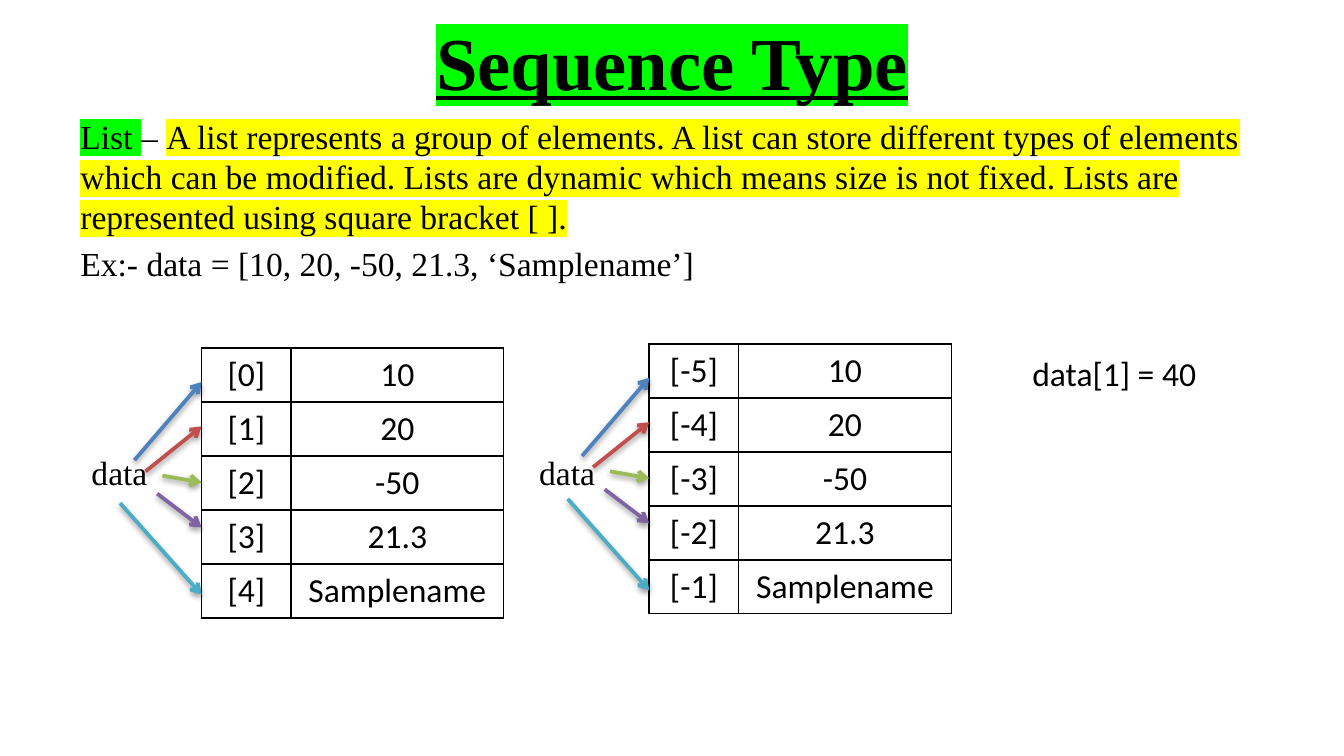
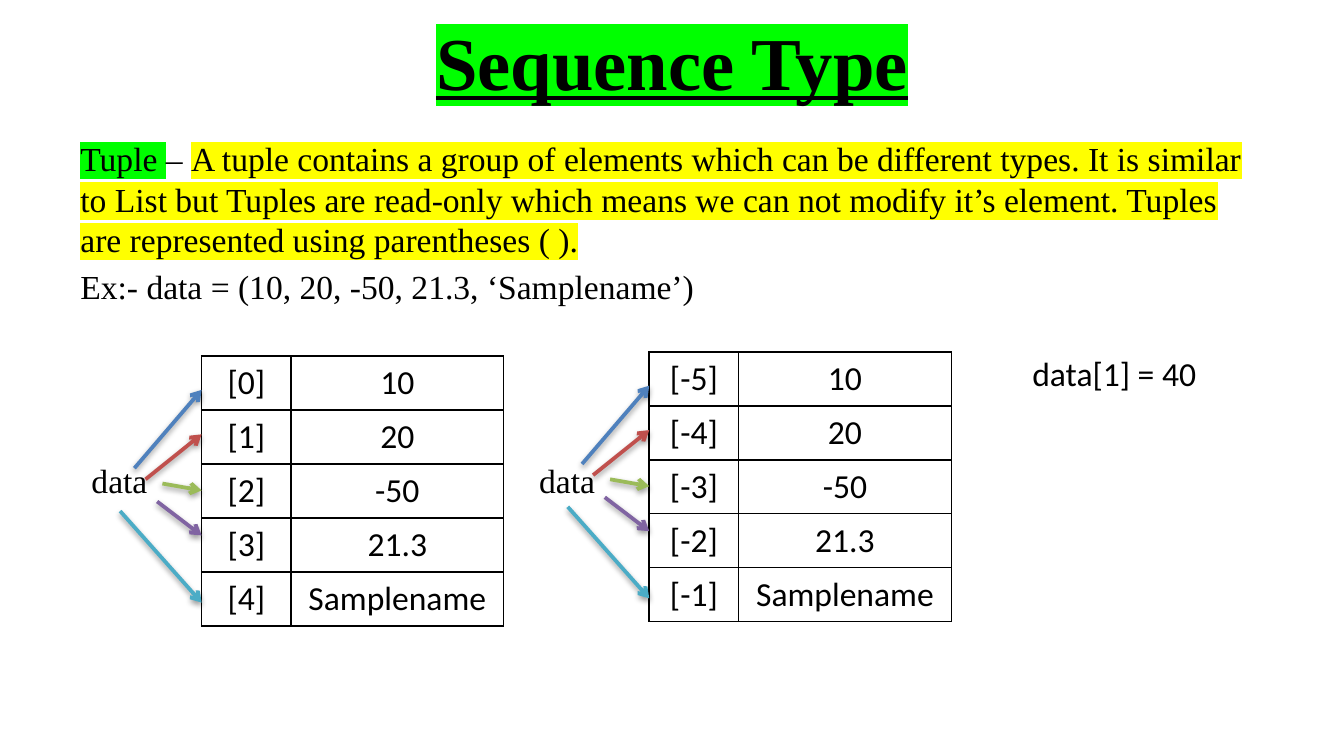
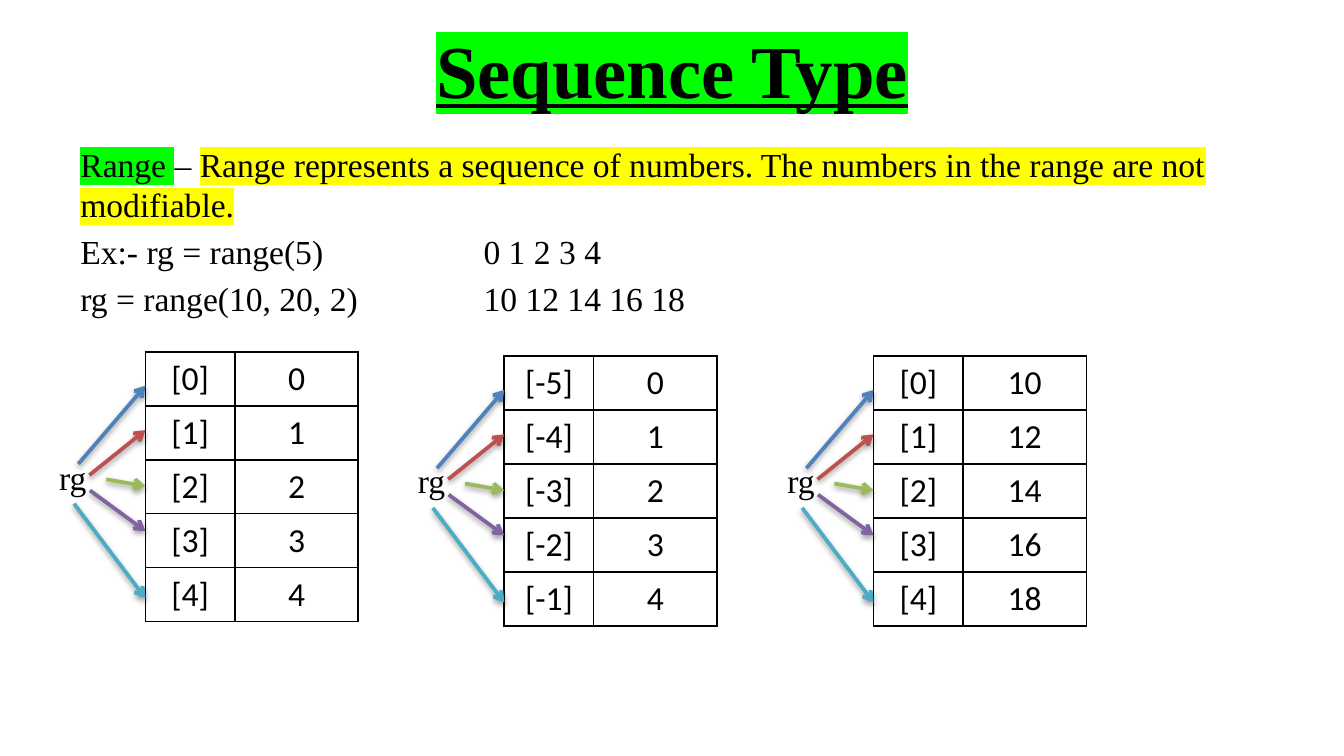
from dataclasses import dataclass
from itertools import product
from typing import Optional

from lxml.etree import SubElement
from pptx import Presentation
from pptx.dml.color import RGBColor
from pptx.enum.shapes import MSO_CONNECTOR as Line
from pptx.enum.text import MSO_ANCHOR as Anchor, MSO_AUTO_SIZE as Fit, PP_ALIGN as Align
from pptx.oxml import parse_xml
from pptx.oxml.ns import nsdecls, qn
from pptx.slide import Slide
from pptx.util import Cm, Pt

BLACK = RGBColor(0x00, 0x00, 0x00)
GREEN = RGBColor(0x00, 0xFF, 0x00)
YELLOW = RGBColor(0xFF, 0xFF, 0x00)
ARROWS = [
    RGBColor(0x4F, 0x81, 0xBD),
    RGBColor(0xC0, 0x50, 0x4D),
    RGBColor(0x9B, 0xBB, 0x59),
    RGBColor(0x80, 0x64, 0xA2),
    RGBColor(0x4B, 0xAC, 0xC6),
]
SERIF = "Times New Roman"
SANS = "Calibri"

ROW = 1.02
INDEX = 1.69
TAB = Cm(7.62)
TIPS = [0.64, 1.48, 2.54, 3.39, 4.66]
UP = ["[0]", "[1]", "[2]", "[3]", "[4]"]
DOWN = ["[-5]", "[-4]", "[-3]", "[-2]", "[-1]"]
MIXED = ["10", "20", "-50", "21.3", "Samplename"]
COUNT = ["0", "1", "2", "3", "4"]
EVENS = ["10", "12", "14", "16", "18"]


@dataclass(frozen=True)
class Kind:
    """A variable name, its place left of a table, its arrow tails, the value column."""
    name: str
    left: float
    width: float
    tails: list[tuple[float, float]]
    value: float


@dataclass(frozen=True)
class Fan:
    """A table at left, top with its variable name at the height label."""
    left: float
    top: float
    label: float
    keys: list[str]
    values: list[str]


@dataclass(frozen=True)
class Topic:
    term: str
    meaning: str
    samples: list[str]
    title: float
    body: float
    kind: Kind
    fans: list[Fan]
    note: Optional[str] = None


TAILS = [(-1.27, 2.12), (-1.06, 2.33), (-0.74, 2.41)]
DATA = Kind("data", -2.33, 1.57, TAILS + [(-0.84, 2.75), (-1.54, 2.93)], 4.02)
RG = Kind("rg", -1.88, 1.04, TAILS + [(-1.05, 2.62), (-1.35, 2.87)], 2.33)

TOPICS = [
    Topic(
        "List ",
        "A list represents a group of elements. A list can store different types of "
        "elements which can be modified. Lists are dynamic which means size is not "
        "fixed. Lists are represented using square bracket [ ].",
        ["Ex:- data = [10, 20, -50, 21.3, ‘Samplename’]"],
        -0.05, 2.06, DATA,
        [Fan(3.81, 6.58, 8.41, UP, MIXED), Fan(12.27, 6.5, 8.41, DOWN, MIXED)],
        "data[1] = 40",
    ),
    Topic(
        "Tuple ",
        "A tuple contains a group of elements which can be different types. It is "
        "similar to List but Tuples are read-only which means we can not modify it’s "
        "element. Tuples are represented using parentheses ( ).",
        ["Ex:- data = (10, 20, -50, 21.3, ‘Samplename’)"],
        -0.05, 2.49, DATA,
        [Fan(3.81, 6.73, 8.56, UP, MIXED), Fan(12.27, 6.65, 8.56, DOWN, MIXED)],
        "data[1] = 40",
    ),
    Topic(
        "Range ",
        "Range represents a sequence of numbers. The numbers in the range are not "
        "modifiable.",
        ["Ex:- rg = range(5)\t0 1 2 3 4", "rg = range(10, 20, 2)\t10 12 14 16 18"],
        0.1, 2.59, RG,
        [
            Fan(2.75, 6.65, 8.51, UP, COUNT),
            Fan(16.51, 6.73, 8.56, UP, EVENS),
            Fan(9.53, 6.73, 8.56, DOWN, COUNT),
        ],
    ),
]


def add_run(para, text: str, face: str = SERIF, size: int = 18,
            mark: Optional[RGBColor] = None):
    run = para.add_run()
    run.text = text
    font = run.font
    font.size = Pt(size)
    font.color.rgb = BLACK
    if mark is not None:
        glow = SubElement(font._element, qn("a:highlight"))
        SubElement(glow, qn("a:srgbClr"), val=str(mark))
    font.name = face
    return run


def add_title(slide: Slide, top: float) -> None:
    title = slide.shapes.title
    title.left, title.top, title.width, title.height = Cm(1.27), Cm(top), Cm(22.86), Cm(2.38)
    frame = title.text_frame
    frame.auto_size = Fit.NONE
    frame.vertical_anchor = Anchor.MIDDLE
    para = frame.paragraphs[0]
    para.alignment = Align.CENTER
    font = add_run(para, "Sequence Type", size=40, mark=GREEN).font
    font.bold = True
    font.underline = True


def add_body(slide: Slide, topic: Topic) -> None:
    box = slide.shapes.add_textbox(Cm(1.27), Cm(topic.body), Cm(22.86), Cm(3.81))
    frame = box.text_frame
    frame.word_wrap = True
    para = frame.paragraphs[0]
    add_run(para, topic.term, mark=GREEN)
    add_run(para, "– ")
    add_run(para, topic.meaning, mark=YELLOW)
    for text in topic.samples:
        para = frame.add_paragraph()
        if "\t" in text:
            stops = SubElement(para._p.get_or_add_pPr(), qn("a:tabLst"))
            SubElement(stops, qn("a:tab"), pos=str(TAB), algn="l")
        para.space_before = Pt(3.6)
        add_run(para, text)


def add_label(slide: Slide, text: str, left: float, top: float, width: float,
              face: str = SERIF) -> None:
    box = slide.shapes.add_textbox(Cm(left), Cm(top), Cm(width), Cm(ROW))
    frame = box.text_frame
    frame.word_wrap = False
    frame.auto_size = Fit.SHAPE_TO_FIT_TEXT
    add_run(frame.paragraphs[0], text, face)


def add_rim(cell) -> None:
    """Give a cell thin black borders and no fill."""
    props = cell._tc.get_or_add_tcPr()
    for side in ("lnL", "lnR", "lnT", "lnB"):
        edge = SubElement(props, qn(f"a:{side}"), w=str(Pt(1)))
        fill = SubElement(edge, qn("a:solidFill"))
        SubElement(fill, qn("a:srgbClr"), val=str(BLACK))
    cell.fill.background()


def add_grid(slide: Slide, fan: Fan, value: float) -> None:
    rows = list(zip(fan.keys, fan.values))
    frame = slide.shapes.add_table(len(rows), 2, Cm(fan.left), Cm(fan.top),
                                   Cm(INDEX + value), Cm(ROW * len(rows)))
    table = frame.table
    table.first_row = table.horz_banding = False
    for col, width in zip(table.columns, (INDEX, value)):
        col.width = Cm(width)
    for row in table.rows:
        row.height = Cm(ROW)
    for i, j in product(range(len(rows)), range(2)):
        cell = table.cell(i, j)
        add_rim(cell)
        para = cell.text_frame.paragraphs[0]
        para.alignment = Align.CENTER
        add_run(para, rows[i][j], SANS)


def add_arrow(slide: Slide, start: tuple[float, float], end: tuple[float, float],
              color: RGBColor) -> None:
    arrow = slide.shapes.add_connector(Line.STRAIGHT, *map(Cm, start + end))
    arrow.line.color.rgb = color
    arrow.line.width = Pt(2)
    SubElement(arrow.line._get_or_add_ln(), qn("a:tailEnd"), type="arrow")
    arrow._element.spPr.append(parse_xml(
        f'<a:effectLst {nsdecls("a")}>'
        '<a:outerShdw blurRad="40000" dist="20000" dir="5400000" rotWithShape="0">'
        f'<a:srgbClr val="{BLACK}"><a:alpha val="38000"/></a:srgbClr>'
        '</a:outerShdw></a:effectLst>'))


def add_fan(slide: Slide, fan: Fan, kind: Kind) -> None:
    add_grid(slide, fan, kind.value)
    add_label(slide, kind.name, fan.left + kind.left, fan.label, kind.width)
    for (x, y), tip, color in zip(kind.tails, TIPS, ARROWS):
        add_arrow(slide, (fan.left + x, fan.top + y), (fan.left, fan.top + tip), color)


def main() -> None:
    deck = Presentation()
    deck.slide_width, deck.slide_height = Cm(25.4), Cm(14.29)
    for topic in TOPICS:
        slide = deck.slides.add_slide(deck.slide_layouts[5])
        add_title(slide, topic.title)
        add_body(slide, topic)
        for fan in topic.fans:
            add_fan(slide, fan, topic.kind)
        if topic.note:
            add_label(slide, topic.note, 19.26, 6.55, 3.66, SANS)
    deck.save("out.pptx")


if __name__ == "__main__":
    main()
